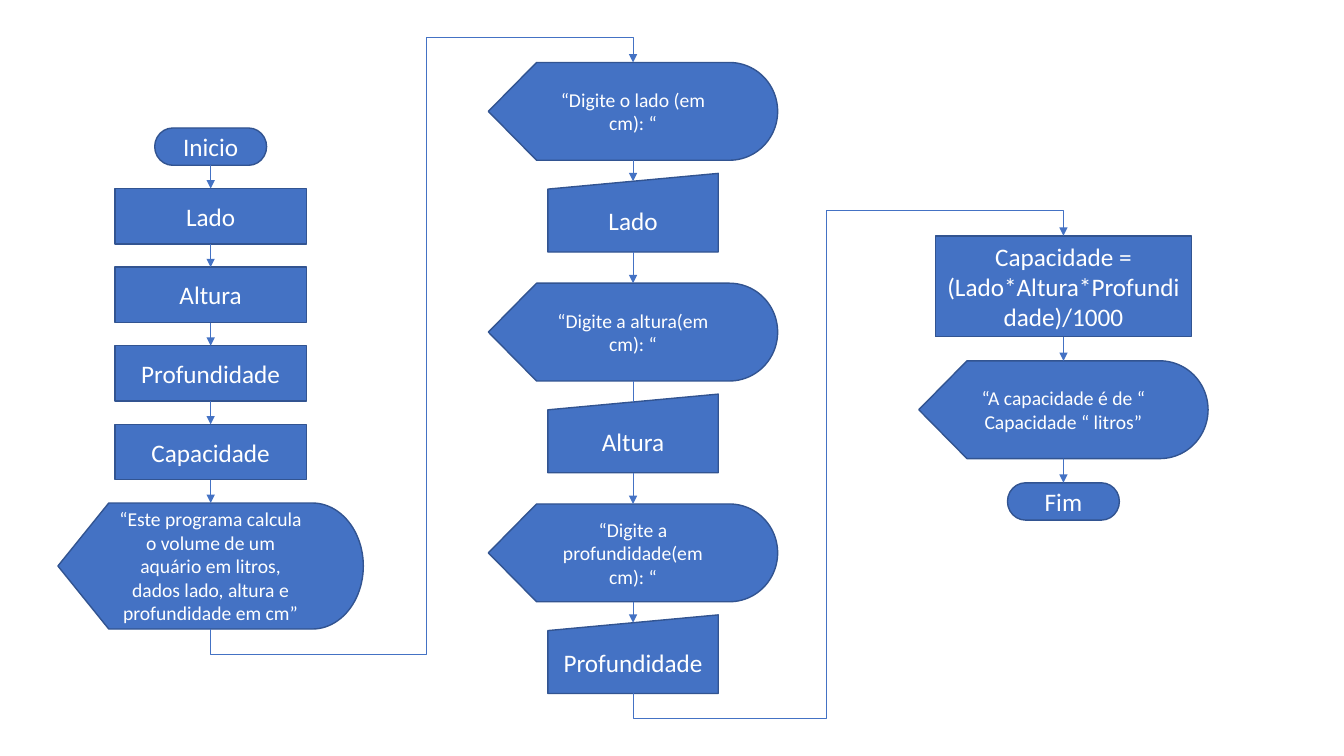
from dataclasses import dataclass
from itertools import cycle, pairwise

from lxml import etree
from pptx import Presentation
from pptx.dml.color import RGBColor
from pptx.enum.shapes import MSO_CONNECTOR, MSO_SHAPE
from pptx.enum.text import MSO_ANCHOR, PP_ALIGN
from pptx.oxml.ns import qn
from pptx.shapes.autoshape import Shape
from pptx.shapes.connector import Connector
from pptx.util import Inches, Pt

BLUE = RGBColor(0x44, 0x72, 0xC4)
NAVY = RGBColor(0x32, 0x54, 0x91)
WHITE = RGBColor(0xFF, 0xFF, 0xFF)
FONT = "Calibri"

TERM = MSO_SHAPE.FLOWCHART_TERMINATOR
PROC = MSO_SHAPE.FLOWCHART_PROCESS
SHOW = MSO_SHAPE.FLOWCHART_DISPLAY
ENTRY = MSO_SHAPE.FLOWCHART_MANUAL_INPUT
LINE = MSO_CONNECTOR.STRAIGHT
ELBOW = MSO_CONNECTOR.ELBOW
MIDDLE = MSO_ANCHOR.MIDDLE
CENTER = PP_ALIGN.CENTER

# Grid of square cells, ten to the inch
COLS, ROWS = 133.33, 75
TOP, BOTTOM = 0, 2  # connection sites
STUB = 2.5          # how far an elbow leaves a shape before it turns


def cell(num: float) -> int:
    return Inches(num / 10)


@dataclass(frozen=True)
class Kind:
    form: MSO_SHAPE
    wide: float
    high: float
    size: int = 18
    dip: float = 0  # share of the height by which the top middle lies lower


PILL = Kind(TERM, 11.1, 3.7)
BOX = Kind(PROC, 19, 5.5)
SUM = Kind(PROC, 25.4, 10)
INTRO = Kind(SHOW, 30.3, 12.5, 14)
PROMPT = Kind(SHOW, 28.7, 9.7, 14)
INPUT = Kind(ENTRY, 16.9, 7.8, dip=0.1)


@dataclass(frozen=True)
class Step:
    kind: Kind
    text: str
    head: bool = True  # arrowhead on the line that comes in


@dataclass(frozen=True)
class Stack:
    mid: float
    top: float
    gaps: tuple[float, ...]
    steps: tuple[Step, ...]


STACKS = (
    Stack(20.9, 12.7, (2.3,), (
        Step(PILL, "Inicio"),
        Step(BOX, "Lado"),
        Step(BOX, "Altura"),
        Step(BOX, "Profundidade"),
        Step(BOX, "Capacidade"),
        Step(INTRO, "“Este programa calcula o volume de um aquário em litros, "
                    "dados lado, altura e profundidade em cm”"),
    )),
    Stack(62.8, 6.2, (1.3, 3.1), (
        Step(PROMPT, "“Digite o lado (em cm): “"),
        Step(INPUT, "Lado"),
        Step(PROMPT, "“Digite a altura(em cm): “"),
        Step(INPUT, "Altura", head=False),
        Step(PROMPT, "“Digite a profundidade(em cm): “"),
        Step(INPUT, "Profundidade"),
    )),
    Stack(105.5, 23.4, (2.4,), (
        Step(SUM, "Capacidade = (Lado*Altura*Profundidade)/1000"),
        Step(PROMPT, "“A capacidade é de “ Capacidade “ litros”"),
        Step(PILL, "Fim"),
    )),
)
TURNS = (0.51, 0.45)  # where each elbow rises, as a share of its span

deck = Presentation()
deck.slide_width, deck.slide_height = cell(COLS), cell(ROWS)
slide = deck.slides.add_slide(deck.slide_layouts[6])


def draw_step(step: Step, mid: float, top: float) -> Shape:
    kind = step.kind
    shape = slide.shapes.add_shape(
        kind.form, cell(mid - kind.wide / 2), cell(top),
        cell(kind.wide), cell(kind.high))
    shape.shadow.inherit = False
    shape.fill.solid()
    shape.fill.fore_color.rgb = BLUE
    shape.line.color.rgb = NAVY
    shape.line.width = Pt(1)
    frame = shape.text_frame
    frame.word_wrap = True
    frame.vertical_anchor = MIDDLE
    para = frame.paragraphs[0]
    para.alignment = CENTER
    run = para.add_run()
    run.text = step.text
    run.font.name, run.font.size = FONT, Pt(kind.size)
    run.font.color.rgb = WHITE
    return shape


def style(link: Connector, head: bool = True) -> None:
    link.line.color.rgb = BLUE
    link.line.width = Pt(0.5)
    props = link._element.spPr
    if head:
        etree.SubElement(props.find(qn("a:ln")), qn("a:tailEnd"), type="triangle")
    etree.SubElement(props, qn("a:effectLst"))


def join(up: Shape, down: Shape, step: Step) -> None:
    link = slide.shapes.add_connector(LINE, 0, 0, 0, 0)
    link.begin_connect(up, BOTTOM)
    link.end_connect(down, TOP)
    link.end_y = down.top + int(down.height * step.kind.dip)
    style(link, step.head)


def bend(last: Shape, first: Shape, turn: float) -> None:
    """Lead from the foot of one stack over to the top of the next."""
    x1, y1 = last.left + last.width // 2, last.top + last.height
    x2, y2 = first.left + first.width // 2, first.top
    # A quarter turn swaps the rise and the span
    rise, span = y1 - y2, x2 - x1
    left, top = (x1 + x2 - rise) // 2, (y1 + y2 - span) // 2
    link = slide.shapes.add_connector(ELBOW, left + rise, top + span, left, top)
    props = link._element.spPr
    props.find(qn("a:xfrm")).set("rot", str(90 * 60000))
    geom = props.find(qn("a:prstGeom"))
    geom.set("prst", "bentConnector5")
    guides = geom.find(qn("a:avLst"))
    stub = cell(STUB) / rise
    for num, share in enumerate((-stub, turn, 1 + stub), 1):
        etree.SubElement(guides, qn("a:gd"), name=f"adj{num}",
                         fmla=f"val {round(share * 100000)}")
    style(link)


def draw_stack(stack: Stack) -> list[Shape]:
    shapes, top = [], stack.top
    for step, gap in zip(stack.steps, cycle(stack.gaps)):
        shapes.append(draw_step(step, stack.mid, top))
        top += step.kind.high + gap
    for (up, down), step in zip(pairwise(shapes), stack.steps[1:]):
        join(up, down, step)
    return shapes


# Stacks of steps, then the elbows between them
drawn = [draw_stack(stack) for stack in STACKS]
for (prev, then), turn in zip(pairwise(drawn), TURNS):
    bend(prev[-1], then[0], turn)

deck.save("out.pptx")
